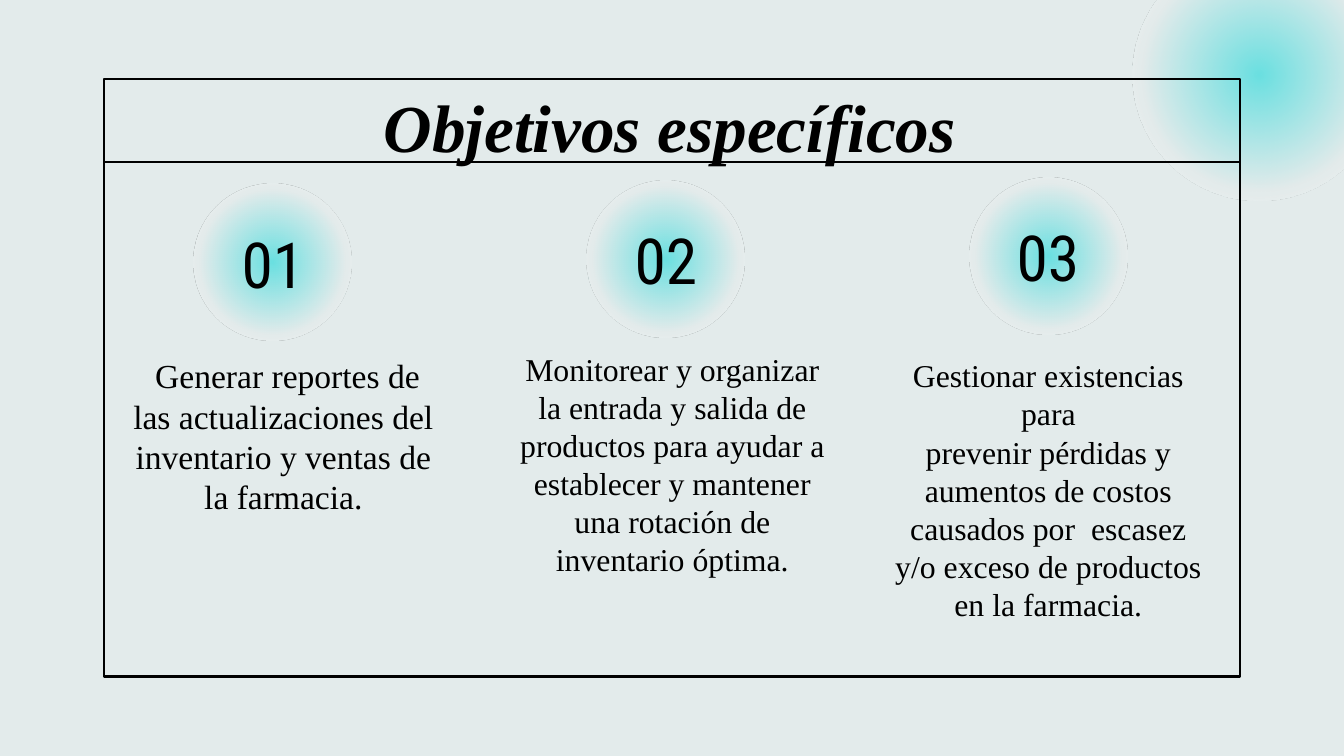
from dataclasses import dataclass
from lxml.etree import SubElement
from pptx import Presentation
from pptx.dml.color import RGBColor
from pptx.enum.shapes import MSO_CONNECTOR as Connector, MSO_SHAPE as Shape
from pptx.enum.text import MSO_ANCHOR as Anchor, MSO_AUTO_SIZE as AutoSize, PP_ALIGN as Align
from pptx.oxml import parse_xml
from pptx.oxml.ns import nsdecls, qn
from pptx.util import Emu, Pt


@dataclass(frozen=True)
class Theme:
    paper: str = "E3EBEB"
    ink: str = "000000"
    glow: str = "6AE0E1"
    serif: str = "Times New Roman"
    condensed: str = "Roboto Condensed"
    title_size: int = 36
    number_size: int = 34
    line_width: float = 1.5


theme = Theme()
PX = 914400 / 134.4
INK = RGBColor.from_string(theme.ink)


def px(*lengths):
    return [Emu(round(length * PX)) for length in lengths]


def write(box, paragraphs, font_name, size, emphasis=False):
    frame = box.text_frame
    frame.word_wrap = True
    frame.auto_size = AutoSize.NONE
    frame.vertical_anchor = Anchor.MIDDLE
    frame.margin_left, frame.margin_top, frame.margin_right, frame.margin_bottom = px(13, 13, 13, 13)
    for index, text in enumerate(paragraphs):
        para = frame.paragraphs[0] if index == 0 else frame.add_paragraph()
        para.alignment = Align.CENTER
        span = para.add_run()
        span.text = text
        font = span.font
        font.name, font.size = font_name, Pt(size)
        font.bold = font.italic = emphasis
        font.color.rgb = INK


deck = Presentation()
deck.slide_width, deck.slide_height = px(1344, 756)
page = deck.slides.add_slide(deck.slide_layouts[5])
page.background.fill.solid()
page.background.fill.fore_color.rgb = RGBColor.from_string(theme.paper)

# Glowing circles: the corner one, then one behind each number
for left, top, size in [(1133, -51, 252), (194, 184, 157), (587, 181, 157), (970, 178, 157)]:
    circle = page.shapes.add_shape(Shape.OVAL, *px(left, top, size, size))
    circle.shadow.inherit = False
    circle.line.fill.background()
    gradient = parse_xml(
        f'<a:gradFill {nsdecls("a")} rotWithShape="1"><a:gsLst>'
        f'<a:gs pos="0"><a:srgbClr val="{theme.glow}"/></a:gs>'
        f'<a:gs pos="65000"><a:srgbClr val="{theme.paper}"/></a:gs>'
        '<a:gs pos="100000"><a:srgbClr val="FFFFFF"><a:alpha val="0"/></a:srgbClr></a:gs>'
        '</a:gsLst><a:path path="circle">'
        '<a:fillToRect l="50000" t="50000" r="50000" b="50000"/></a:path></a:gradFill>')
    circle._element.spPr.find(qn("a:prstGeom")).addnext(gradient)

# Frame and the rule under the title
border = page.shapes.add_shape(Shape.RECTANGLE, *px(104, 79, 1136, 598))
border.shadow.inherit = False
border.fill.background()
rule = page.shapes.add_connector(Connector.STRAIGHT, *px(104, 162, 1240, 162))
SubElement(rule._element.spPr, qn("a:effectLst"))
for outline in (border.line, rule.line):
    outline.color.rgb = INK
    outline.width = Pt(theme.line_width)

# Title
title = page.shapes.title
title.left, title.top, title.width, title.height = px(104, 79, 1132, 93)
write(title, ["Objetivos específicos"], theme.serif, theme.title_size, emphasis=True)

# Objectives: number position, text area, text size, paragraphs
objectives = [
    ((214, 234), (118, 341, 331, 190), 18,
     [" Generar reportes de las actualizaciones del inventario y ventas de la farmacia."]),
    ((607, 230), (507, 335, 331, 258), 17,
     ["Monitorear y organizar la entrada y salida de productos para ayudar a establecer "
      "y mantener una rotación de inventario óptima."]),
    ((989, 227), (876, 341, 345, 297), 17,
     ["Gestionar existencias para",
      "prevenir pérdidas y aumentos de costos causados por  escasez y/o exceso de "
      "productos en la farmacia."]),
]
for order, (corner, area, size, paragraphs) in enumerate(objectives, start=1):
    number = page.shapes.add_textbox(*px(*corner, 118, 58))
    write(number, [f"{order:02}"], theme.condensed, theme.number_size)
    body = page.shapes.add_textbox(*px(*area))
    write(body, paragraphs, theme.serif, size)

deck.save("out.pptx")
